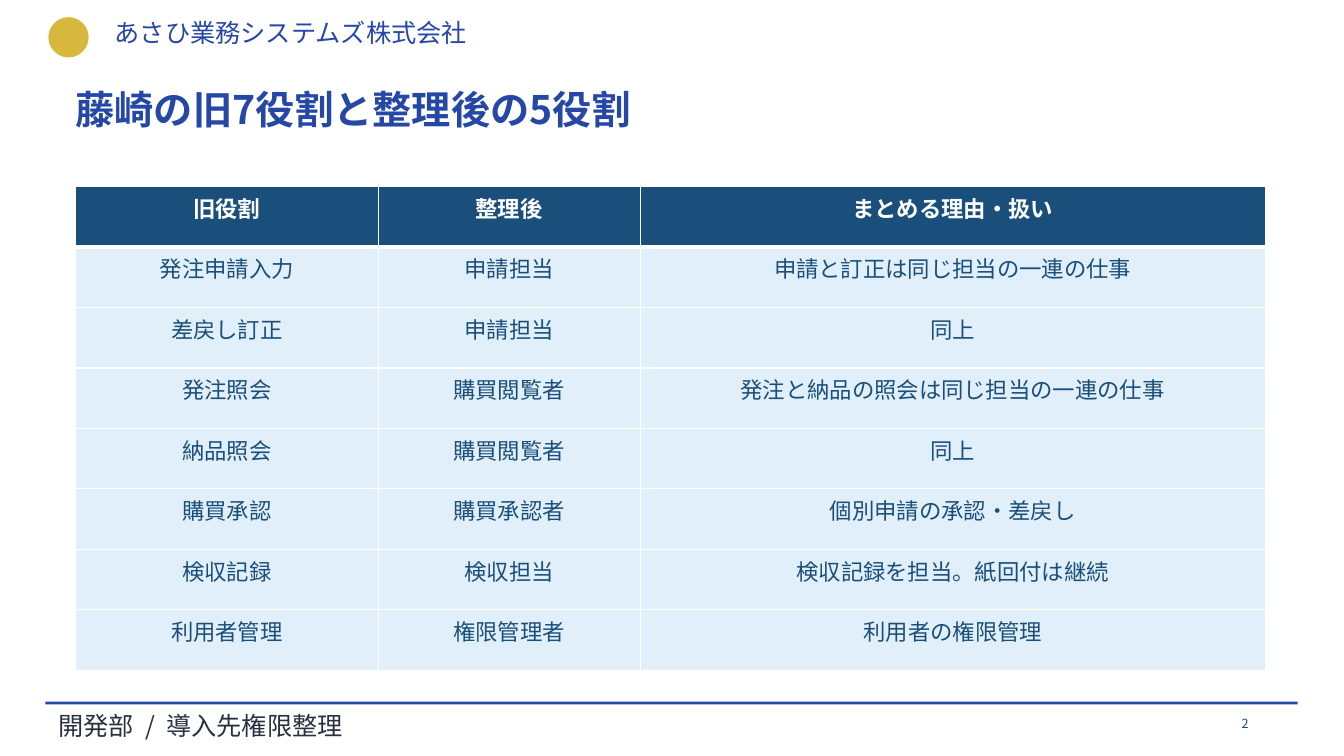
from lxml.etree import SubElement
from pptx import Presentation
from pptx.dml.color import RGBColor
from pptx.enum.shapes import MSO_SHAPE as SHAPE
from pptx.enum.text import MSO_ANCHOR as ANCHOR, MSO_AUTO_SIZE as AUTO, PP_ALIGN as ALIGN
from pptx.oxml.ns import qn
from pptx.util import Pt

PX = 9144  # 100 px to the inch
FONT = "Noto Sans CJK JP"
COLORS = {
    "blue": "2548A6",
    "navy": "1B4F7B",
    "pale": "E0EFF9",
    "gold": "D8B83C",
    "ink": "29313F",
    "white": "FFFFFF",
}
WIDTHS = [300, 260, 620]
ROW_HEIGHT = 60
ROWS = [
    ("旧役割", "整理後", "まとめる理由・扱い"),
    ("発注申請入力", "申請担当", "申請と訂正は同じ担当の一連の仕事"),
    ("差戻し訂正", "申請担当", "同上"),
    ("発注照会", "購買閲覧者", "発注と納品の照会は同じ担当の一連の仕事"),
    ("納品照会", "購買閲覧者", "同上"),
    ("購買承認", "購買承認者", "個別申請の承認・差戻し"),
    ("検収記録", "検収担当", "検収記録を担当。紙回付は継続"),
    ("利用者管理", "権限管理者", "利用者の権限管理"),
]


def px(*lengths):
    return [n * PX for n in lengths]


def rgb(name):
    return RGBColor.from_string(COLORS[name])


def write(tf, text, size=18, color="ink", bold=False, align=ALIGN.LEFT, spacing=1.0):
    p = tf.paragraphs[0]
    p.alignment, p.line_spacing = align, spacing
    r = p.add_run()
    r.text = text
    r.font.size, r.font.bold, r.font.name = Pt(size), bold, FONT
    r.font.color.rgb = rgb(color)
    SubElement(r.font._element, qn("a:ea"), typeface=FONT)


def border(cell, side, width):
    ln = SubElement(cell._tc.get_or_add_tcPr(), qn(f"a:ln{side}"), w=str(Pt(width)))
    fill = SubElement(ln, qn("a:solidFill"))
    SubElement(fill, qn("a:srgbClr"), val=COLORS["white"])


class Deck:
    def __init__(self, width, height):
        self.prs = Presentation()
        self.prs.slide_width, self.prs.slide_height = px(width, height)
        self.s = self.prs.slides.add_slide(self.prs.slide_layouts[5])

    def title(self, text, x, y, w, h):
        sp = self.s.shapes.title
        sp.left, sp.top, sp.width, sp.height = px(x, y, w, h)
        tf = sp.text_frame
        tf.auto_size, tf.vertical_anchor = AUTO.NONE, ANCHOR.TOP
        write(tf, text, size=28, color="blue", bold=True, spacing=0.9)

    def shape(self, kind, x, y, w, h, color):
        sp = self.s.shapes.add_shape(kind, *px(x, y, w, h))
        sp.shadow.inherit = False
        sp.fill.solid()
        sp.fill.fore_color.rgb = rgb(color)
        sp.line.fill.background()

    def text(self, text, x, y, w, h, anchor=ANCHOR.TOP, **style):
        tf = self.s.shapes.add_textbox(*px(x, y, w, h)).text_frame
        tf.word_wrap, tf.vertical_anchor = True, anchor
        tf.margin_top = tf.margin_bottom = 0
        write(tf, text, **style)

    def table(self, rows, widths, row_height, x, y):
        size = px(x, y, sum(widths), row_height * len(rows))
        table = self.s.shapes.add_table(len(rows), len(widths), *size).table
        table.horz_banding = False
        for column, width in zip(table.columns, widths):
            column.width = width * PX
        for i, row in enumerate(rows):
            table.rows[i].height = row_height * PX
            for j, text in enumerate(row):
                self.cell(table.cell(i, j), text, head=i == 0, below_head=i == 1)

    def cell(self, cell, text, head, below_head):
        for side in "LRTB":
            heavy = (head and side == "B") or (below_head and side == "T")
            border(cell, side, 3 if heavy else 1)
        cell.fill.solid()
        cell.fill.fore_color.rgb = rgb("navy" if head else "pale")
        write(cell.text_frame, text, size=16, bold=head, align=ALIGN.CENTER,
              color="white" if head else "navy")


def main():
    deck = Deck(1333, 750)

    # Header: plain mark and company name
    deck.shape(SHAPE.OVAL, 48, 17, 40, 40, "gold")
    deck.text("あさひ業務システムズ株式会社", 104, 17, 700, 34, color="blue")

    # Title and role table
    deck.title("藤崎の旧7役割と整理後の5役割", 65, 85, 1200, 100)
    deck.table(ROWS, WIDTHS, ROW_HEIGHT, 75, 185)

    # Footer: rule, department and page number
    deck.shape(SHAPE.RECTANGLE, 45, 696, 1242, 3, "blue")
    deck.text("開発部  /  導入先権限整理", 48, 705, 1000, 26)
    deck.text("2", 1205, 703, 60, 30, anchor=ANCHOR.MIDDLE,
              size=9, color="navy", align=ALIGN.CENTER)

    deck.prs.save("out.pptx")


if __name__ == "__main__":
    main()
